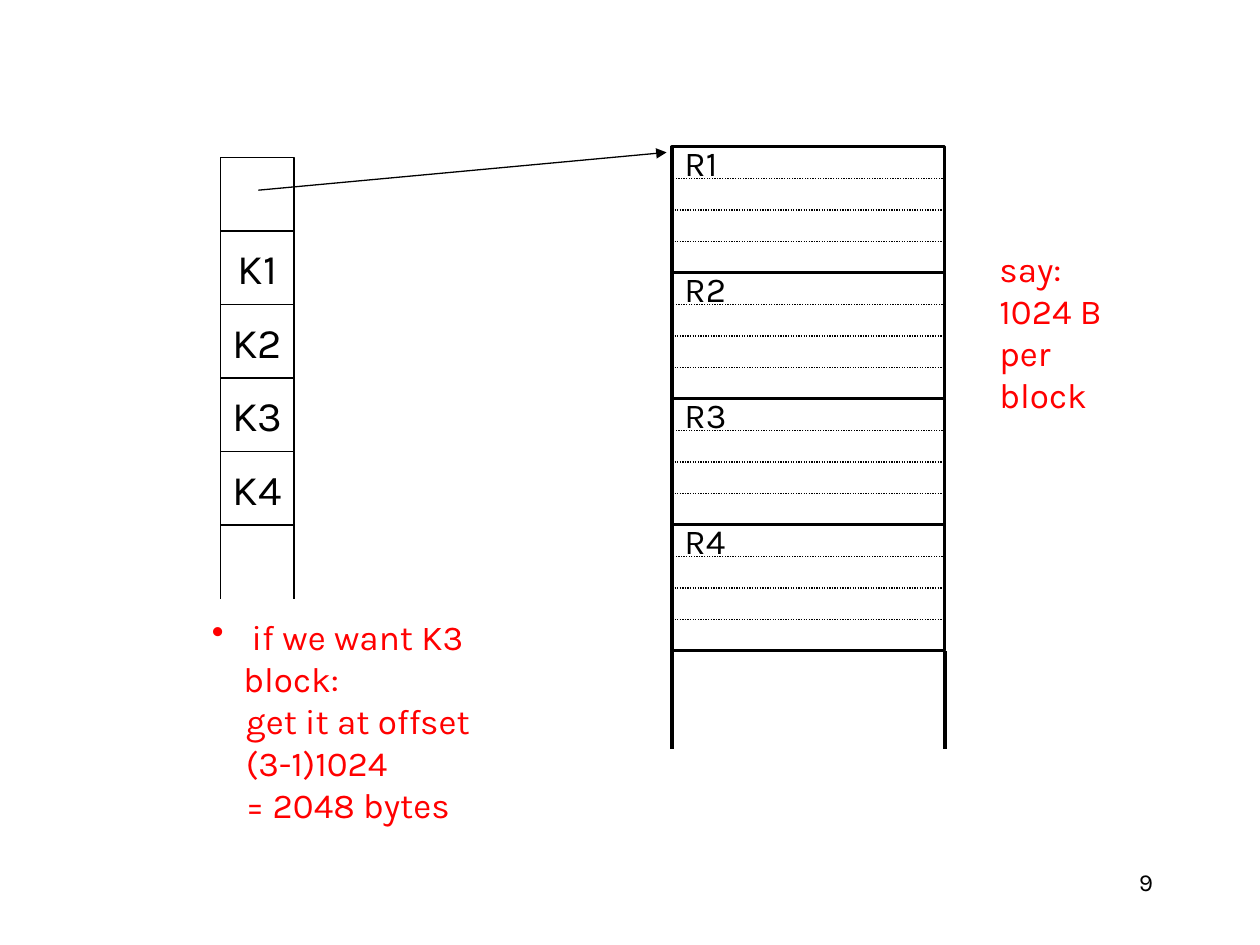
from pptx import Presentation
from pptx.dml.color import RGBColor
from pptx.enum.dml import MSO_LINE
from pptx.enum.shapes import MSO_CONNECTOR, MSO_SHAPE
from pptx.enum.text import MSO_ANCHOR, PP_ALIGN
from pptx.oxml.ns import qn
from pptx.util import Pt
from lxml import etree

BLACK = RGBColor(0x00, 0x00, 0x00)
WHITE = RGBColor(0xFF, 0xFF, 0xFF)
RED = RGBColor(0xFF, 0x00, 0x00)
FONT = "Karla"

RECTANGLE = MSO_SHAPE.RECTANGLE
STRAIGHT = MSO_CONNECTOR.STRAIGHT
DOTTED = MSO_LINE.ROUND_DOT
MIDDLE = MSO_ANCHOR.MIDDLE
TOP = MSO_ANCHOR.TOP
LEFT, CENTER, RIGHT = PP_ALIGN.LEFT, PP_ALIGN.CENTER, PP_ALIGN.RIGHT

THIN = 0.75
INDEX_LEFT, INDEX_TOP, CELL = 126, 90, 42
KEYS = ["", "K1", "K2", "K3", "K4"]
FILE_LEFT, FILE_TOP, FILE_WIDTH = 384, 84, 156
BLOCK_HEIGHT, ROW_HEIGHT = 72, 18
RECORDS = ["R1", "R2", "R3", "R4"]


def style_paragraph(paragraph, text, size, color, alignment=LEFT):
    paragraph.text = text
    paragraph.alignment = alignment
    paragraph.font.name = FONT
    paragraph.font.size = Pt(size)
    paragraph.font.color.rgb = color


def add_box(shapes, left, top, width, height, filled=True, weight=THIN, dash=None):
    box = shapes.add_shape(RECTANGLE, Pt(left), Pt(top), Pt(width), Pt(height))
    box.shadow.inherit = False
    if filled:
        box.fill.solid()
        box.fill.fore_color.rgb = WHITE
    else:
        box.fill.background()
    box.line.color.rgb = BLACK
    box.line.width = Pt(weight)
    if dash:
        box.line.dash_style = dash
    return box


def label_box(box, text, size, alignment):
    frame = box.text_frame
    frame.word_wrap = False
    frame.vertical_anchor = MIDDLE
    style_paragraph(frame.paragraphs[0], text, size, BLACK, alignment)


def add_line(shapes, start, end, weight=THIN, dash=None, arrow=False):
    ends = [Pt(value) for value in (*start, *end)]
    connector = shapes.add_connector(STRAIGHT, *ends)
    connector.line.color.rgb = BLACK
    connector.line.width = Pt(weight)
    if dash:
        connector.line.dash_style = dash
    if arrow:
        line = connector.line._get_or_add_ln()
        etree.SubElement(line, qn("a:tailEnd"), type="triangle")
    etree.SubElement(connector._element.spPr, qn("a:effectLst"))


def add_text(shapes, left, top, width, height, lines, size, color,
             alignment=LEFT, anchor=MIDDLE):
    """Add a wrapping text box and return its paragraphs."""
    box = shapes.add_textbox(Pt(left), Pt(top), Pt(width), Pt(height))
    frame = box.text_frame
    frame.word_wrap = True
    frame.vertical_anchor = anchor
    for number, text in enumerate(lines):
        paragraph = frame.add_paragraph() if number else frame.paragraphs[0]
        style_paragraph(paragraph, text, size, color, alignment)
    return frame.paragraphs


def set_indent(paragraph, margin, bullet=None):
    """Indent a paragraph; a bullet hangs in the margin."""
    properties = paragraph._p.get_or_add_pPr()
    properties.set("marL", str(Pt(margin)))
    properties.set("indent", str(Pt(-margin if bullet else 0)))
    if bullet:
        mark = etree.Element(qn("a:buChar"), char=bullet)
        properties.insert(0, mark)


def add_rails(shapes, left, width, top, bottom, weight):
    """Draw the two open sides that continue a column downwards."""
    for x in (left, left + width):
        add_line(shapes, (x, top), (x, bottom), weight)


def add_index(shapes):
    for number, key in enumerate(KEYS):
        cell = add_box(shapes, INDEX_LEFT, INDEX_TOP + number * CELL, CELL, CELL)
        if key:
            label_box(cell, key, 24, CENTER)
    bottom = INDEX_TOP + len(KEYS) * CELL
    add_rails(shapes, INDEX_LEFT, CELL, bottom, bottom + CELL, THIN)


def add_block(shapes, top, record):
    block = shapes.add_group_shape().shapes
    first_row = add_box(block, FILE_LEFT, top, FILE_WIDTH, ROW_HEIGHT, dash=DOTTED)
    label_box(first_row, record, 20, LEFT)
    add_box(block, FILE_LEFT, top, FILE_WIDTH, BLOCK_HEIGHT, filled=False, weight=1.75)
    for row in (2, 3):
        y = top + row * ROW_HEIGHT
        add_line(block, (FILE_LEFT, y), (FILE_LEFT + FILE_WIDTH, y), dash=DOTTED)


def add_file(shapes):
    for number, record in enumerate(RECORDS):
        add_block(shapes, FILE_TOP + number * BLOCK_HEIGHT, record)
    bottom = FILE_TOP + len(RECORDS) * BLOCK_HEIGHT
    add_rails(shapes, FILE_LEFT, FILE_WIDTH, bottom, bottom + 56, 2)


def add_notes(shapes):
    add_text(shapes, 564, 150, 95, 79, ["say:", "1024 B", "per block"], 20, RED)
    offset_lines = [" if we want K3 block:", "get it at offset",
                    "(3-1)1024", "= 2048 bytes"]
    first, *others = add_text(shapes, 114, 360, 210, 103, offset_lines, 20, RED)
    set_indent(first, 18, "•")
    for paragraph in others:
        set_indent(paragraph, 19.5)


def main():
    presentation = Presentation()
    presentation.slide_width = Pt(720)
    presentation.slide_height = Pt(540)
    slide = presentation.slides.add_slide(presentation.slide_layouts[6])
    shapes = slide.shapes
    add_text(shapes, 516, 492, 150, 36, ["9"], 14, BLACK, RIGHT, TOP)
    add_index(shapes)
    add_file(shapes)
    add_line(shapes, (147.6, 108.7), (380.9, 87.1), arrow=True)
    add_notes(shapes)
    presentation.save("out.pptx")


if __name__ == "__main__":
    main()
